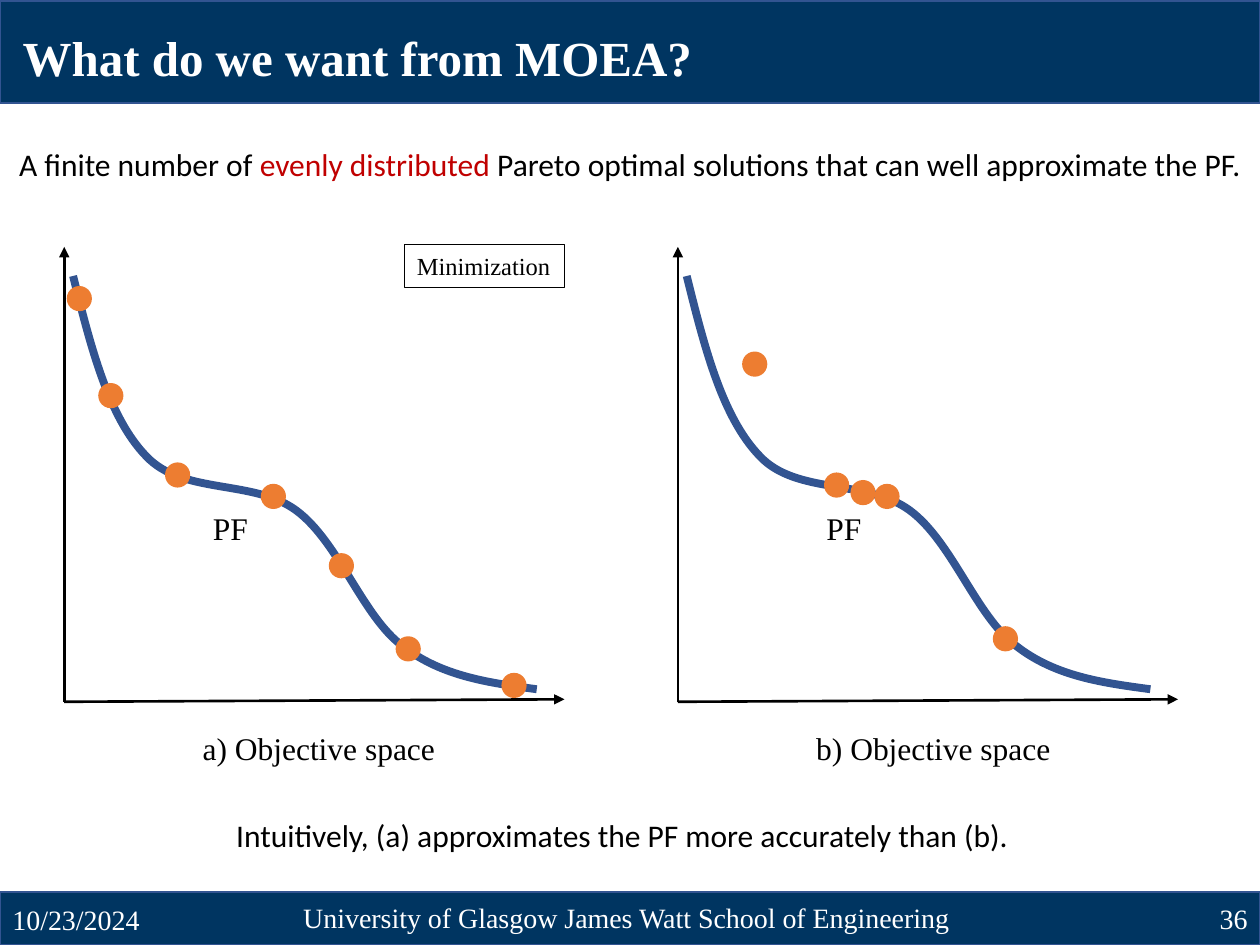
from dataclasses import dataclass

import pptx
import pptx.dml.color
import pptx.enum.shapes
import pptx.enum.text
import pptx.oxml
import pptx.oxml.ns
import pptx.util

Inches = pptx.util.Inches
Align = pptx.enum.text.PP_ALIGN
Anchor = pptx.enum.text.MSO_ANCHOR
AutoSize = pptx.enum.text.MSO_AUTO_SIZE
Shape = pptx.enum.shapes.MSO_SHAPE

PANEL_TOP, AXIS_BOTTOM = 1.96, 5.57
CURVE_START = (0.07, 2.19)
CURVE_CONTROLS = [
    (0.21, 2.75), (0.35, 3.31), (0.65, 3.62),
    (0.94, 3.93), (1.5, 3.8), (1.84, 4.05),
    (2.18, 4.3), (2.37, 4.9), (2.69, 5.13),
    (3.0, 5.37), (3.38, 5.42), (3.75, 5.47),
]
PANELS = [
    (0.51, "a) Objective space",
     [(0.53, 2.27), (0.78, 3.04), (1.31, 3.67), (2.07, 3.84),
      (2.61, 4.39), (3.14, 5.05), (3.98, 5.34)]),
    (5.38, "b) Objective space",
     [(5.89, 2.79), (6.75, 3.81), (6.54, 3.75), (6.94, 3.84), (7.88, 4.97)]),
]


@dataclass(frozen=True)
class Theme:
    band: str = "003561"
    curve: str = "325491"
    solution: str = "ED7D31"
    highlight: str = "C00000"
    dark: str = "000000"
    light: str = "FFFFFF"
    serif: str = "Times New Roman"
    sans: str = "Calibri"
    title_size: int = 28
    body_size: int = 18
    footer_size: int = 16
    label_size: int = 14


def rgb(color):
    return pptx.dml.color.RGBColor.from_string(color)


def write_text(paragraph, text, font, size, color, bold=False, align=Align.LEFT):
    paragraph.alignment = align
    run = paragraph.add_run()
    run.text = text
    run.font.name = font
    run.font.size = pptx.util.Pt(size)
    run.font.color.rgb = rgb(color)
    run.font.bold = bold


class SlideBuilder:
    """Draws styled elements on the current slide."""

    def __init__(self, slide, theme):
        self.slide = slide
        self.theme = theme

    def shape(self, kind, box, fill=None, line=None, width=1):
        shape = self.slide.shapes.add_shape(kind, *map(Inches, box))
        shape.shadow.inherit = False
        self.paint(shape, fill, line, width)
        return shape

    def paint(self, shape, fill, line, width):
        if fill:
            shape.fill.solid()
            shape.fill.fore_color.rgb = rgb(fill)
        else:
            shape.fill.background()
        if line:
            shape.line.color.rgb = rgb(line)
            shape.line.width = pptx.util.Pt(width)
        else:
            shape.line.fill.background()

    def fill_frame(self, shape, parts, anchor=Anchor.TOP, wrap=False, **text_format):
        frame = shape.text_frame
        frame.word_wrap = wrap
        frame.auto_size = AutoSize.NONE if wrap else AutoSize.SHAPE_TO_FIT_TEXT
        frame.vertical_anchor = anchor
        style = {"font": self.theme.serif, "size": self.theme.body_size,
                 "color": self.theme.dark} | text_format
        for text, changes in parts:
            write_text(frame.paragraphs[0], text, **(style | changes))

    def title(self, box, text):
        title = self.slide.shapes.title
        title.element.getparent().append(title.element)
        title.left, title.top, title.width, title.height = map(Inches, box)
        self.fill_frame(title, [(text, {})], size=self.theme.title_size,
                        color=self.theme.light, bold=True)

    def text(self, box, *parts, **text_format):
        self.fill_frame(self.slide.shapes.add_textbox(*map(Inches, box)), parts, **text_format)

    def footer(self, box, text, align):
        self.text(box, (text, {}), anchor=Anchor.MIDDLE, wrap=True, align=align,
                  size=self.theme.footer_size, color=self.theme.light)

    def label(self, box, text):
        shape = self.shape(Shape.RECTANGLE, box, line=self.theme.dark, width=0.75)
        self.fill_frame(shape, [(text, {})], size=self.theme.label_size)

    def arrow(self, start, end):
        connector = self.slide.shapes.add_connector(
            pptx.enum.shapes.MSO_CONNECTOR.STRAIGHT, *map(Inches, start + end))
        connector.line.color.rgb = rgb(self.theme.dark)
        connector.line.width = pptx.util.Pt(1.5)
        namespace = pptx.oxml.ns.nsdecls("a")
        connector.line._get_or_add_ln().append(
            pptx.oxml.parse_xml(f'<a:tailEnd {namespace} type="triangle"/>'))
        connector.element.spPr.append(pptx.oxml.parse_xml(f"<a:effectLst {namespace}/>"))

    def curve(self, start, controls):
        builder = self.slide.shapes.build_freeform(*map(Inches, start))
        builder.add_line_segments([tuple(map(Inches, point)) for point in controls], close=False)
        shape = builder.convert_to_shape()
        shape.shadow.inherit = False
        self.paint(shape, None, self.theme.curve, 4.5)
        lines = shape.element.xpath(".//a:lnTo")
        namespace = pptx.oxml.ns.nsdecls("a")
        for first in range(0, len(lines), 3):
            bezier = pptx.oxml.parse_xml(f"<a:cubicBezTo {namespace}/>")
            lines[first].addprevious(bezier)
            for line in lines[first:first + 3]:
                bezier.append(line[0])
                line.getparent().remove(line)

    def panel(self, left, caption, solutions):
        origin = (left, AXIS_BOTTOM)
        self.arrow(origin, (left, PANEL_TOP))
        self.arrow(origin, (left + 3.97, 5.55))
        self.text((left + 1, 5.74, 2.07, 0.4), (caption, {}))
        start, *controls = [(left + x, y) for x, y in [CURVE_START] + CURVE_CONTROLS]
        self.curve(start, controls)
        self.text((left + 1.08, 3.99, 0.48, 0.4), ("PF", {}))
        for x, y in solutions:
            self.shape(Shape.OVAL, (x, y, 0.2, 0.2), fill=self.theme.solution)


def main():
    presentation = pptx.Presentation()
    presentation.slide_width, presentation.slide_height = Inches(10), Inches(7.5)
    theme = Theme()
    builder = SlideBuilder(presentation.slides.add_slide(presentation.slide_layouts[5]), theme)

    for top, height in ((7.08, 0.42), (0.01, 0.81)):
        builder.shape(Shape.RECTANGLE, (0, top, 10, height), theme.band, theme.curve)
    builder.footer((0, 7.1, 2.25, 0.4), "10/23/2024", Align.LEFT)
    builder.footer((7.75, 7.09, 2.25, 0.4), "36", Align.RIGHT)
    builder.title((0.08, 0.17, 5.58, 0.57), "What do we want from MOEA?")
    builder.footer((2.25, 7.08, 5.5, 0.4),
                   "University of Glasgow James Watt School of Engineering ", Align.CENTER)

    builder.text((-0.01, 1.1, 10.02, 0.4),
                 ("A finite number of ", {}),
                 ("evenly distributed ", {"color": theme.highlight}),
                 ("Pareto optimal solutions that can well approximate the PF.", {}),
                 font=theme.sans, align=Align.CENTER)
    for panel in PANELS:
        builder.panel(*panel)
    builder.text((1.71, 6.43, 6.46, 0.4),
                 ("Intuitively, (a) approximates the PF more accurately than (b).", {}),
                 font=theme.sans, align=Align.CENTER)
    builder.label((3.21, 1.94, 1.27, 0.34), "Minimization")

    presentation.save("out.pptx")


if __name__ == "__main__":
    main()
